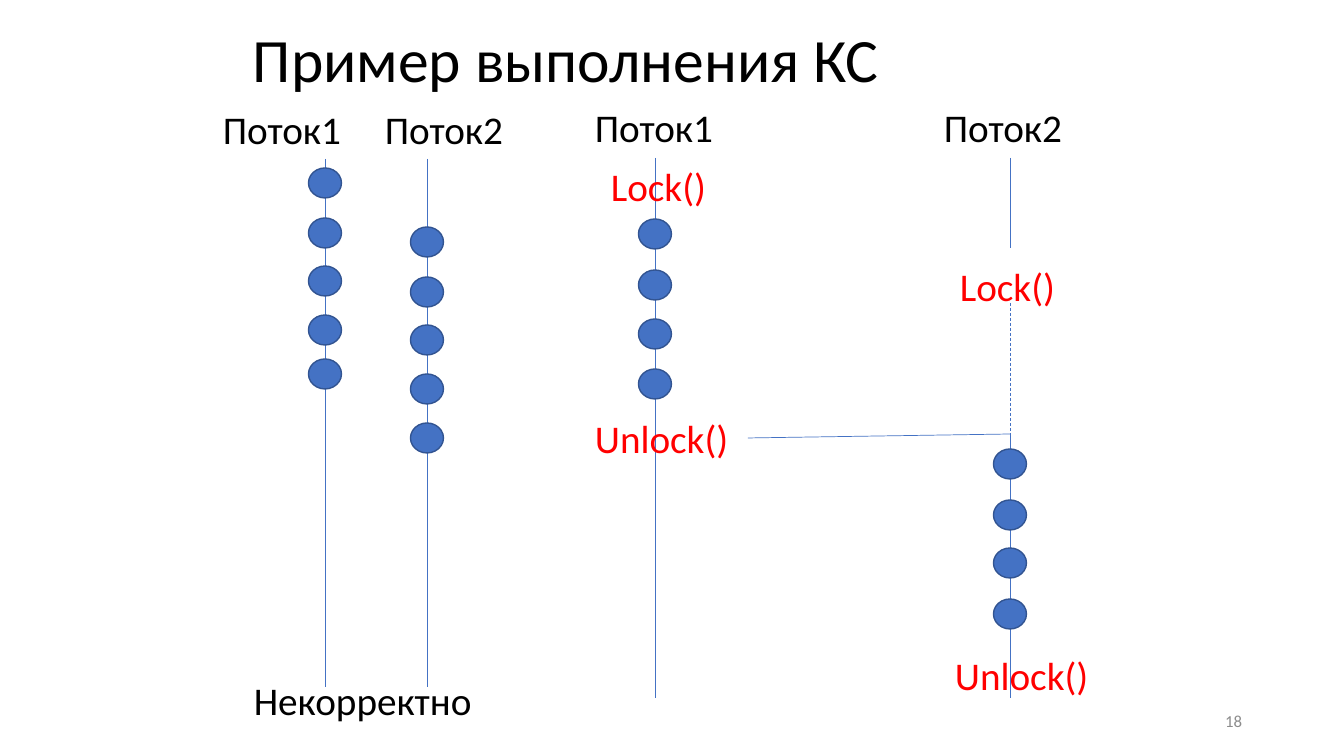
import pptx
import pptx.util
import pptx.dml.color
import pptx.enum.dml
import pptx.enum.shapes
import pptx.enum.text
import lxml.etree

THEME = {
    "font": "Calibri",
    "black": "000000", "red": "FF0000", "grey": "8C8C8C",
    "dot": "4472C4", "dot_line": "325491", "line": "4472C4",
    "title": 44, "label": 28, "number": 12,
    "thin": 0.5, "outline": 1,
}

# Content: lengths in pixels, 100.8 to the inch
SLIDE = (1344, 756)
DOT = (33, 30)
X1, X2, X3, X4 = 325, 427, 655, 1010  # thread axes

# axis x, centres of the dots
THREADS = [
    (X1, (183, 233, 281, 330, 374)),
    (X2, (242, 292, 340, 389, 438)),
    (X3, (234, 285, 334, 384)),
    (X4, (464, 515, 563, 614)),
]
# start, end, dashed
LINES = [
    ((X1, 159), (X1, 687), False),
    ((X2, 159), (X2, 687), False),
    ((X3, 158), (X3, 698), False),
    ((X4, 158), (X4, 248), False),
    ((X4, 303), (X4, 435), True),
    ((X4, 434), (X4, 698), False),
    ((748, 438), (X4, 434), False),
]
# text, left, top, width, colour
LABELS = [
    ("Поток1", 213, 100, 150, "black"),
    ("Поток2", 375, 100, 150, "black"),
    ("Некорректно", 244, 671, 317, "black"),
    ("Поток1", 585, 98, 150, "black"),
    ("Поток2", 934, 98, 153, "black"),
    ("Lock()", 601, 157, 142, "red"),
    ("Unlock()", 585, 409, 163, "red"),
    ("Lock()", 950, 257, 142, "red"),
    ("Unlock()", 945, 646, 163, "red"),
]
LABEL_H = 58


def px(n):
    return pptx.util.Emu(round(n * 914400 / 100.8))


def color(name):
    return pptx.dml.color.RGBColor.from_string(THEME[name])


def add_text(text, box, size, col, align="LEFT", anchor="TOP", spacing=1.0):
    tf = s.shapes.add_textbox(*map(px, box)).text_frame
    tf.word_wrap = True
    tf.vertical_anchor = pptx.enum.text.MSO_ANCHOR[anchor]
    p = tf.paragraphs[0]
    p.text = text
    p.alignment = pptx.enum.text.PP_ALIGN[align]
    p.line_spacing = spacing
    font = p.runs[0].font
    font.name = THEME["font"]
    font.size = pptx.util.Pt(THEME[size])
    font.color.rgb = color(col)


def add_dot(x, y):
    w, h = DOT
    sp = s.shapes.add_shape(pptx.enum.shapes.MSO_SHAPE.OVAL,
                            px(x - w / 2), px(y - h / 2), px(w), px(h))
    sp.shadow.inherit = False
    sp.fill.solid()
    sp.fill.fore_color.rgb = color("dot")
    sp.line.color.rgb = color("dot_line")
    sp.line.width = pptx.util.Pt(THEME["outline"])


def add_line(start, end, dashed):
    c = s.shapes.add_connector(pptx.enum.shapes.MSO_CONNECTOR.STRAIGHT,
                               *map(px, start + end))
    c.line.color.rgb = color("line")
    c.line.width = pptx.util.Pt(THEME["thin"])
    if dashed:
        c.line.dash_style = pptx.enum.dml.MSO_LINE.DASH
    lxml.etree.SubElement(c._element.spPr, pptx.oxml.ns.qn("a:effectLst"))


prs = pptx.Presentation()
prs.slide_width, prs.slide_height = map(px, SLIDE)
s = prs.slides.add_slide(prs.slide_layouts[6])

# Title and slide number
add_text("Пример выполнения КС", (243, 0, 907, 126), "title", "black",
         anchor="MIDDLE", spacing=0.9)
add_text("18", (950, 701, 302, 40), "number", "grey", "RIGHT", "MIDDLE")

# Thread axes, then the steps on them
for line in LINES:
    add_line(*line)
for x, centres in THREADS:
    for y in centres:
        add_dot(x, y)

# Labels
for text, left, top, width, col in LABELS:
    add_text(text, (left, top, width, LABEL_H), "label", col)

prs.save("out.pptx")
